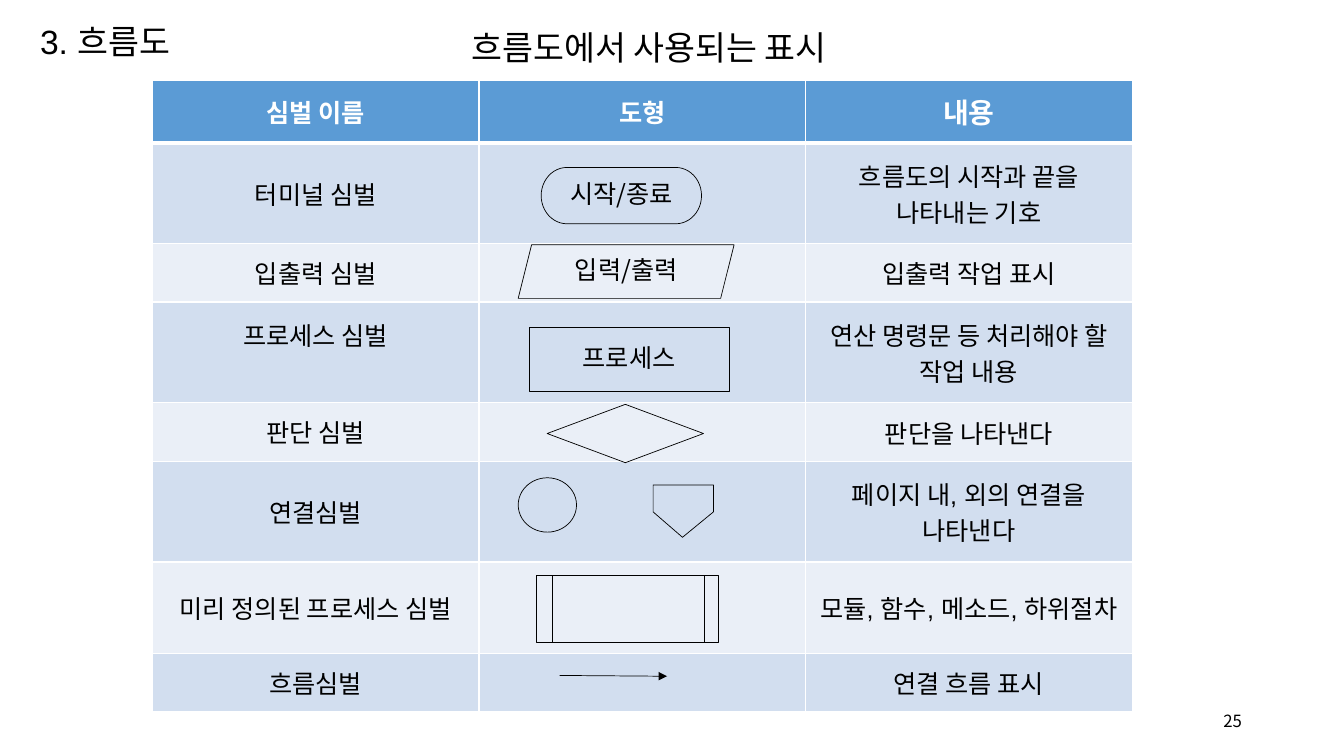
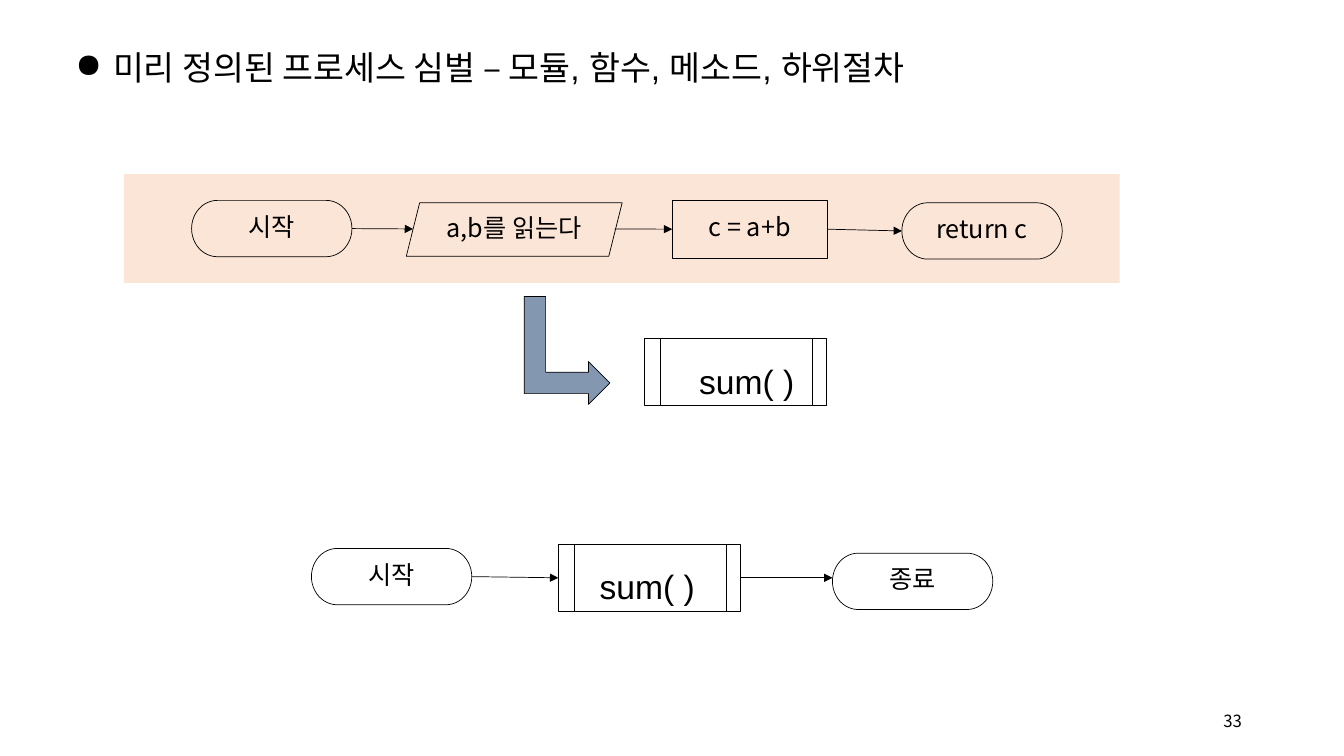
"""Build two slides on flowchart symbols."""
from dataclasses import dataclass
from typing import Union

from lxml import etree
from pptx import Presentation
from pptx.dml.color import RGBColor
from pptx.enum.shapes import MSO_CONNECTOR, MSO_SHAPE
from pptx.enum.text import MSO_ANCHOR, PP_ALIGN
from pptx.oxml.ns import qn
from pptx.shapes.autoshape import Shape
from pptx.shapes.connector import Connector
from pptx.shapes.shapetree import GroupShapes, SlideShapes
from pptx.slide import Slide
from pptx.table import _Cell
from pptx.text.text import TextFrame, _Paragraph
from pptx.util import Cm, Pt

TERMINATOR = MSO_SHAPE.FLOWCHART_TERMINATOR
INPUT_OUTPUT = MSO_SHAPE.PARALLELOGRAM
PROCESS = MSO_SHAPE.RECTANGLE
DECISION = MSO_SHAPE.FLOWCHART_DECISION
CIRCLE = MSO_SHAPE.OVAL
BENT_ARROW = MSO_SHAPE.BENT_UP_ARROW
STRAIGHT = MSO_CONNECTOR.STRAIGHT
LEFT, CENTER, RIGHT = PP_ALIGN.LEFT, PP_ALIGN.CENTER, PP_ALIGN.RIGHT
MIDDLE = MSO_ANCHOR.MIDDLE
LEFT_SITE, RIGHT_SITE = 1, 3

COLORS = {
    "ink": "000000",
    "white": "FFFFFF",
    "header": "5B9BD5",
    "odd_row": "D2DEEF",
    "even_row": "EAEFF7",
    "band": "FBE5D6",
    "bent_arrow": "8497B0",
}
LATIN, KOREAN = "Arial", "Noto Sans CJK KR"
OUTLINE = Pt(0.5)
TERMINATOR_SIZE = (4.04, 1.42)
INPUT_OUTPUT_SIZE = (5.44, 1.35)
PREDEFINED_SIZE = (4.6, 1.68)
BAR_OFFSETS = (0.4, 4.24)

Point = tuple[float, float]
Shapes = Union[SlideShapes, GroupShapes]


@dataclass(frozen=True)
class Symbol:
    """A flowchart symbol, measured in centimetres."""
    kind: MSO_SHAPE
    left: float
    top: float
    size: Point
    label: str = ""
    fill: str = ""
    outlined: bool = True
    rotation: int = 0


@dataclass(frozen=True)
class SymbolRow:
    """A table row, measured in centimetres."""
    height: float
    name: str
    meaning: str
    drawing: str = ""
    bottom_margin: float = 0.13


SYMBOL_ROWS = [
    SymbolRow(1.57, "심벌 이름", "내용", "도형"),
    SymbolRow(2.54, "터미널 심벌", "흐름도의 시작과 끝을 나타내는 기호"),
    SymbolRow(1.47, "입출력 심벌", "입출력 작업 표시"),
    SymbolRow(2.54, "프로세스 심벌", "연산 명령문 등 처리해야 할 작업 내용", bottom_margin=1.05),
    SymbolRow(1.47, "판단 심벌", "판단을 나타낸다"),
    SymbolRow(2.54, "연결심벌", "페이지 내, 외의 연결을 나타낸다"),
    SymbolRow(2.31, "미리 정의된 프로세스 심벌", "모듈, 함수, 메소드, 하위절차"),
    SymbolRow(1.47, "흐름심벌", "연결 흐름 표시"),
]
TABLE_SYMBOLS = [
    Symbol(TERMINATOR, 13.64, 4.22, TERMINATOR_SIZE, "시작/종료"),
    Symbol(INPUT_OUTPUT, 13.06, 6.17, INPUT_OUTPUT_SIZE, "입력/출력"),
    Symbol(PROCESS, 13.34, 8.26, (5.03, 1.6), "프로세스"),
    Symbol(DECISION, 13.79, 10.19, (3.94, 1.47)),
    Symbol(CIRCLE, 13.06, 12.04, (1.47, 1.37)),
]
OFF_PAGE_OUTLINE = [(16.46, 12.22), (17.98, 12.22), (17.98, 12.9), (17.2, 13.54), (16.46, 12.9)]


def rgb(color: str) -> RGBColor:
    """Look up a named colour."""
    return RGBColor.from_string(COLORS[color])


def write(frame: TextFrame, text: str, size: int, align: PP_ALIGN, latin: str = KOREAN,
          color: str = "ink", bold: bool = False) -> _Paragraph:
    """Fill a frame with one formatted paragraph."""
    frame.text = text
    paragraph = frame.paragraphs[0]
    paragraph.alignment = align
    for run in paragraph.runs:
        run.font.size, run.font.bold, run.font.name = Pt(size), bold, latin
        run.font.color.rgb = rgb(color)
        etree.SubElement(run.font._element, qn("a:ea"), typeface=KOREAN)
    return paragraph


def add_text(shapes: Shapes, text: str, left: float, top: float, width: float) -> _Paragraph:
    """Add large text with wide line spacing."""
    frame = shapes.add_textbox(Cm(left), Cm(top), Cm(width), Cm(1.8)).text_frame
    frame.word_wrap = True
    paragraph = write(frame, text, 24, LEFT, LATIN)
    paragraph.line_spacing = 1.5
    return paragraph


def add_page_number(slide: Slide, number: int) -> None:
    """Add the page number at the bottom right."""
    frame = slide.shapes.add_textbox(Cm(30.33), Cm(17.65), Cm(1.22), Cm(1.02)).text_frame
    frame.word_wrap = True
    frame.vertical_anchor = MIDDLE
    write(frame, str(number), 12, RIGHT)


def style_outline(shape: Shape) -> None:
    """Give a shape a thin outline and no shadow."""
    shape.shadow.inherit = False
    shape.line.color.rgb = rgb("ink")
    shape.line.width = OUTLINE


def add_symbol(shapes: Shapes, symbol: Symbol) -> Shape:
    """Draw a symbol with its label."""
    width, height = symbol.size
    shape = shapes.add_shape(symbol.kind, Cm(symbol.left), Cm(symbol.top), Cm(width), Cm(height))
    style_outline(shape)
    shape.rotation = symbol.rotation
    if not symbol.outlined:
        shape.line.fill.background()
    if symbol.fill:
        shape.fill.solid()
        shape.fill.fore_color.rgb = rgb(symbol.fill)
    else:
        shape.fill.background()
    if symbol.label:
        frame = shape.text_frame
        frame.margin_left = frame.margin_right = frame.margin_top = 0
        frame.margin_bottom = Cm(0.13)
        frame.vertical_anchor = MIDDLE
        write(frame, symbol.label, 18, CENTER)
    return shape


def add_line(shapes: Shapes, start: Point, end: Point) -> Connector:
    """Draw a thin straight line."""
    line = shapes.add_connector(STRAIGHT, *(Cm(value) for value in (*start, *end)))
    line.line.color.rgb = rgb("ink")
    line.line.width = OUTLINE
    etree.SubElement(line._element.spPr, qn("a:effectLst"))
    return line


def add_flow(shapes: Shapes, start: Union[Shape, Point], end: Union[Shape, Point]) -> None:
    """Draw a flow arrow between symbols or points."""
    free_start = start if isinstance(start, tuple) else (0, 0)
    free_end = end if isinstance(end, tuple) else (0, 0)
    arrow = add_line(shapes, free_start, free_end)
    if not isinstance(start, tuple):
        arrow.begin_connect(start, RIGHT_SITE)
    if not isinstance(end, tuple):
        arrow.end_connect(end, LEFT_SITE)
    etree.SubElement(arrow.line._get_or_add_ln(), qn("a:tailEnd"), type="triangle")


def add_predefined(slide: Slide, left: float, top: float, label: str = "",
                   label_offset: float = 0) -> Shape:
    """Draw a grouped predefined process and return its box."""
    parts = slide.shapes.add_group_shape().shapes
    box = add_symbol(parts, Symbol(PROCESS, left, top, PREDEFINED_SIZE))
    for offset in BAR_OFFSETS:
        add_line(parts, (left + offset, top), (left + offset, top + PREDEFINED_SIZE[1]))
    if label:
        add_text(parts, label, left + label_offset, top - 0.08, 3.2)
    return box


def add_off_page(slide: Slide) -> None:
    """Draw the off-page connector symbol."""
    first, *rest = [(Cm(x), Cm(y)) for x, y in OFF_PAGE_OUTLINE]
    builder = slide.shapes.build_freeform(*first)
    builder.add_line_segments(rest, close=True)
    pentagon = builder.convert_to_shape()
    style_outline(pentagon)
    pentagon.fill.background()


def style_cell(cell: _Cell, fill: str, header: bool) -> None:
    """Set the borders and fill of a cell."""
    properties = cell._tc.get_or_add_tcPr()
    for side in "LRTB":
        width = Pt(3 if header and side == "B" else 1)
        border = etree.SubElement(properties, qn(f"a:ln{side}"), w=str(int(width)))
        paint = etree.SubElement(border, qn("a:solidFill"))
        etree.SubElement(paint, qn("a:srgbClr"), val=COLORS["white"])
    cell.fill.solid()
    cell.fill.fore_color.rgb = rgb(fill)
    cell.vertical_anchor = MIDDLE


def add_symbol_table(slide: Slide) -> None:
    """Draw the table of symbols."""
    height = sum(row.height for row in SYMBOL_ROWS)
    table = slide.shapes.add_table(
        len(SYMBOL_ROWS), 3, Cm(3.84), Cm(2.03), Cm(24.69), Cm(height)).table
    for row_index, row in enumerate(SYMBOL_ROWS):
        table.rows[row_index].height = Cm(row.height)
        header = row_index == 0
        fill = "header" if header else "odd_row" if row_index % 2 else "even_row"
        for column, text in enumerate((row.name, row.drawing, row.meaning)):
            cell = table.cell(row_index, column)
            style_cell(cell, fill, header)
            if text:
                size = 20 if header and column == 2 else 18
                write(cell.text_frame, text, size, CENTER, LATIN,
                      "white" if header else "ink", header)
        table.cell(row_index, 0).margin_bottom = Cm(row.bottom_margin)


def build_symbol_slide(slide: Slide) -> None:
    """Build the overview of flowchart symbols."""
    shapes = slide.shapes
    add_symbol_table(slide)
    add_page_number(slide, 25)
    for symbol in TABLE_SYMBOLS:
        add_symbol(shapes, symbol)
    add_off_page(slide)
    add_predefined(slide, 13.51, 14.5)
    add_text(shapes, "흐름도에서 사용되는 표시", 11.63, 0.05, 11)
    add_flow(shapes, (14.1, 17.02), (16.81, 17.04))
    add_text(shapes, "3. 흐름도", 0.76, -0.1, 5)


def build_predefined_slide(slide: Slide) -> None:
    """Build the example of a predefined process."""
    shapes = slide.shapes
    add_page_number(slide, 33)
    add_symbol(shapes, Symbol(PROCESS, 3.12, 4.39, (25.1, 2.74), fill="band", outlined=False))
    heading = add_text(
        shapes, "미리 정의된 프로세스 심벌 – 모듈, 함수, 메소드, 하위절차", 1.65, 0.56, 26)
    properties = heading._p.get_or_add_pPr()
    indent = int(Cm(0.95))
    properties.set("marL", str(indent))
    properties.set("indent", str(-indent))
    etree.SubElement(properties, qn("a:buChar"), char="●")

    start = add_symbol(shapes, Symbol(TERMINATOR, 4.83, 5.05, TERMINATOR_SIZE, "시작"))
    add_symbol(shapes, Symbol(INPUT_OUTPUT, 10.24, 5.11, INPUT_OUTPUT_SIZE, "a,b를 읽는다"))
    addition = add_symbol(shapes, Symbol(PROCESS, 16.94, 5.05, (3.91, 1.45), "c = a+b"))
    result = add_symbol(shapes, Symbol(TERMINATOR, 22.73, 5.11, TERMINATOR_SIZE, "return c"))
    add_flow(shapes, start, (10.41, 5.77))
    add_flow(shapes, (15.49, 5.77), addition)
    add_flow(shapes, addition, result)

    add_symbol(shapes, Symbol(BENT_ARROW, 12.93, 7.75, (2.72, 2.16),
                              fill="bent_arrow", rotation=90))
    add_predefined(slide, 16.23, 8.53, "sum( )", 1.14)

    caller = add_symbol(shapes, Symbol(TERMINATOR, 7.85, 13.82, TERMINATOR_SIZE, "시작"))
    call = add_predefined(slide, 14.07, 13.72, "sum( )", 0.79)
    add_symbol(shapes, Symbol(TERMINATOR, 20.98, 13.94, TERMINATOR_SIZE, "종료"))
    add_flow(shapes, caller, call)
    add_flow(shapes, call, (20.98, 14.56))


def main() -> None:
    """Build and save the presentation."""
    presentation = Presentation()
    presentation.slide_width, presentation.slide_height = Cm(33.87), Cm(19.05)
    blank = presentation.slide_layouts[6]
    for build in (build_symbol_slide, build_predefined_slide):
        build(presentation.slides.add_slide(blank))
    presentation.save("out.pptx")


if __name__ == "__main__":
    main()
